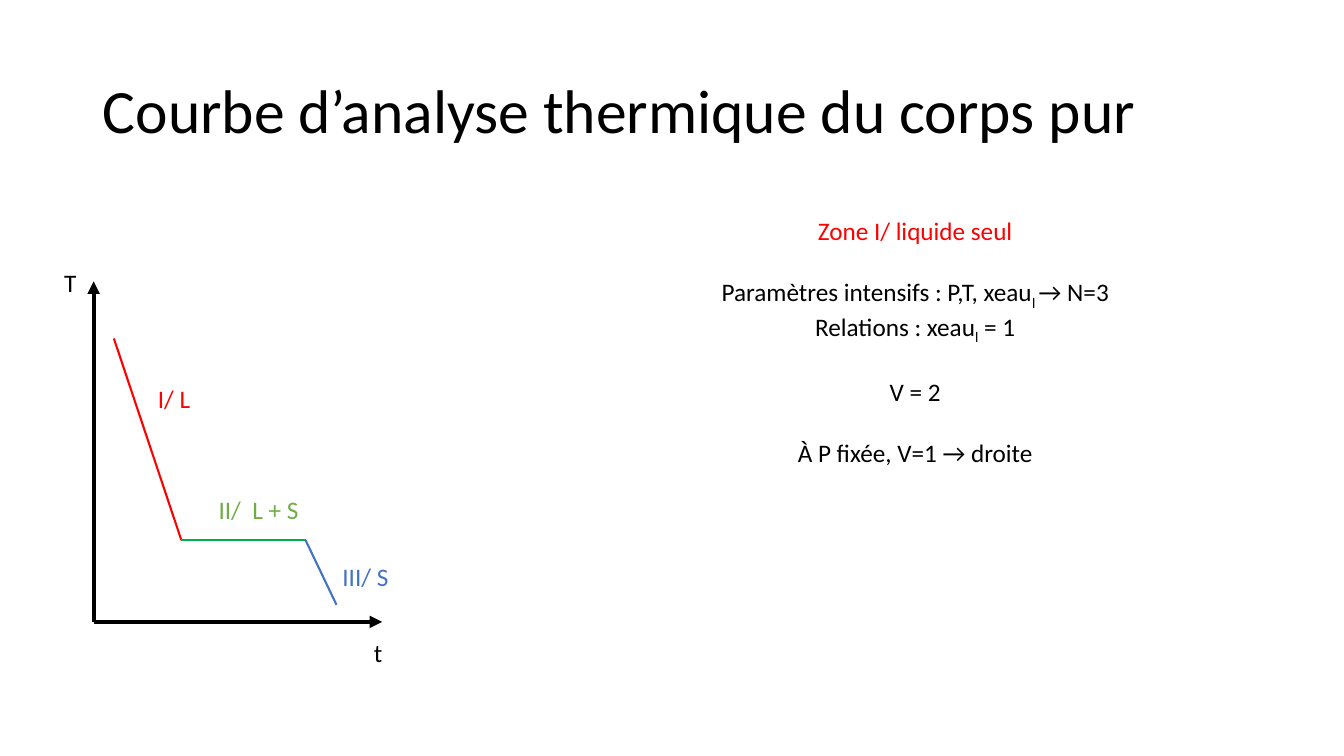
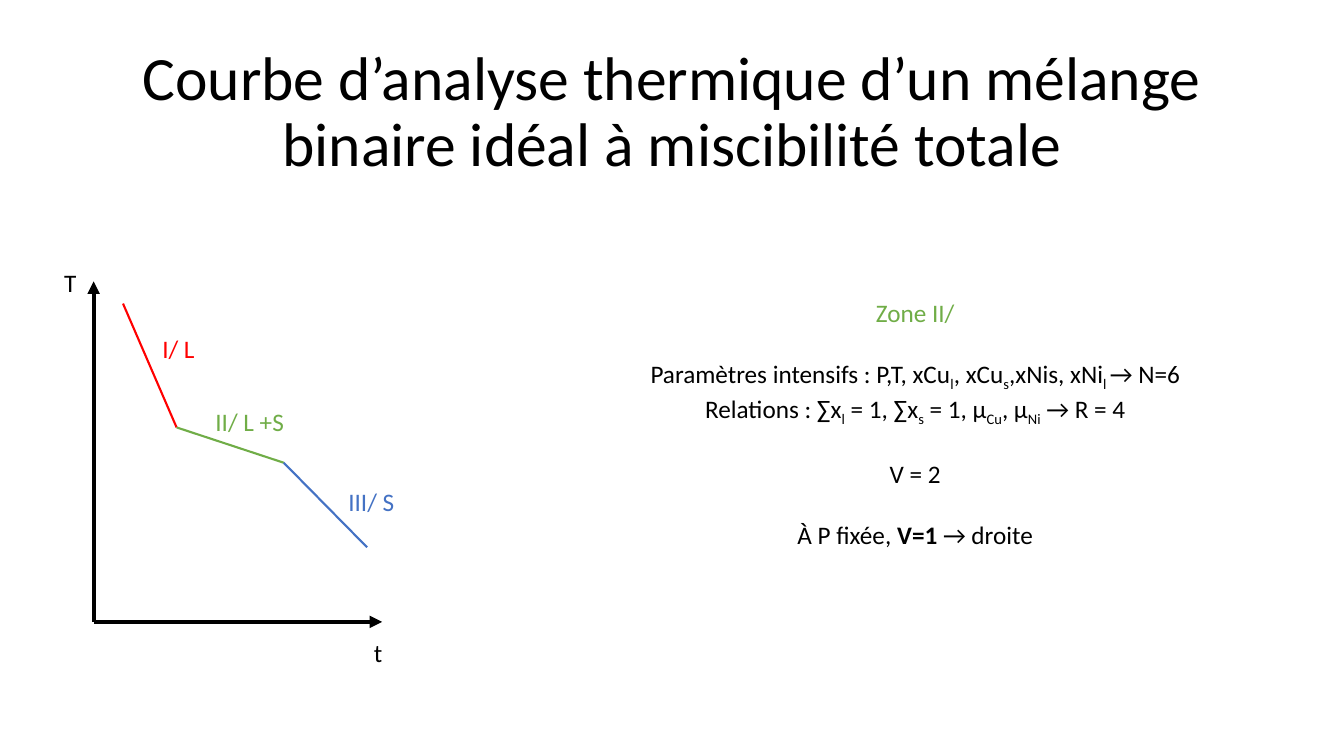
"""Build two slides on thermal analysis curves: pure substance and ideal binary mixture."""
import dataclasses

import lxml.etree
import pptx
import pptx.dml.color
import pptx.enum.shapes
import pptx.enum.text
import pptx.oxml.ns
import pptx.slide
import pptx.util

Cm, Pt = pptx.util.Cm, pptx.util.Pt
RGBColor = pptx.dml.color.RGBColor
ALIGN = pptx.enum.text.PP_ALIGN
ANCHOR = pptx.enum.text.MSO_ANCHOR

BLACK = RGBColor(0x00, 0x00, 0x00)
RED = RGBColor(0xFF, 0x00, 0x00)
GREEN = RGBColor(0x70, 0xAD, 0x47)
DEEP_GREEN = RGBColor(0x00, 0xB0, 0x50)
BLUE = RGBColor(0x44, 0x72, 0xC4)

FONT = "Calibri"
GAP = 22
ORIGIN = (2.36, 15.67)
T_AXIS_END = (2.36, 7.09)
TIME_AXIS_END = (9.63, 15.67)

Point = tuple[float, float]


@dataclasses.dataclass(frozen=True)
class Phase:
    label: str
    label_at: Point
    color: RGBColor
    line_color: RGBColor


@dataclasses.dataclass(frozen=True)
class Line:
    text: str
    color: RGBColor = BLACK
    before: float = 0


@dataclasses.dataclass(frozen=True)
class Curve:
    title: str
    title_align: ALIGN
    points: list[Point]
    phases: list[Phase]
    variance_top: float
    variance: list[Line]


CURVES = [
    Curve(
        "Courbe d’analyse thermique du corps pur",
        ALIGN.LEFT,
        [(2.87, 8.53), (4.57, 13.61), (7.7, 13.61), (8.48, 15.24)],
        [
            Phase("I/ L", (3.73, 9.53), RED, RED),
            Phase("II/  L + S", (5.26, 12.32), GREEN, DEEP_GREEN),
            Phase("III/ S", (8.38, 14.02), BLUE, BLUE),
        ],
        5.31,
        [
            Line("Zone I/ liquide seul", RED),
            Line("Paramètres intensifs : P,T, xeau_l _→ N=3", before=GAP),
            Line("Relations : xeau_l_ = 1"),
            Line("V = 2", before=GAP),
            Line("À P fixée, V=1 → droite", before=GAP),
        ],
    ),
    Curve(
        "Courbe d’analyse thermique d’un mélange binaire idéal à miscibilité totale",
        ALIGN.CENTER,
        [(3.1, 7.65), (4.45, 10.77), (7.15, 11.66), (9.25, 13.79)],
        [
            Phase("I/ L", (3.84, 8.28), RED, RED),
            Phase("II/ L +S", (5.18, 10.11), GREEN, GREEN),
            Phase("III/ S", (8.53, 12.12), BLUE, BLUE),
        ],
        7.37,
        [
            Line("Zone II/", GREEN),
            Line("Paramètres intensifs : P,T, xCu_l_, xCu_s_,xNis, xNi_l _→ N=6", before=GAP),
            Line("Relations : ∑x_l_ = 1, ∑x_s_ = 1, µ_Cu_, µ_Ni_ → R = 4"),
            Line("V = 2", before=GAP),
            Line("À P fixée, *V=1 *→ droite", before=GAP),
        ],
    ),
]


def add_runs(p, text: str, size: float, color: RGBColor) -> None:
    """Write text, with *bold* and _subscript_ marks turned into runs."""
    for i, chunk in enumerate(text.split("*")):
        for j, part in enumerate(chunk.split("_")):
            if not part:
                continue
            r = p.add_run()
            r.text = part
            r.font.name, r.font.size, r.font.bold = FONT, Pt(size), i % 2 == 1
            r.font.color.rgb = color
            if j % 2:
                r._r.get_or_add_rPr().set("baseline", "-25000")


def add_text(s: pptx.slide.Slide, lines: list[Line], at: Point, *, width: float,
             height: float = 1.02, size: float = 18, align: ALIGN = ALIGN.LEFT,
             anchor: ANCHOR = ANCHOR.TOP, line_spacing: float = 1.0) -> None:
    """Place a wrapped text box holding one paragraph per line."""
    sp = s.shapes.add_textbox(Cm(at[0]), Cm(at[1]), Cm(width), Cm(height))
    tf = sp.text_frame
    tf.word_wrap = True
    tf.vertical_anchor = anchor
    for i, line in enumerate(lines):
        p = tf.add_paragraph() if i else tf.paragraphs[0]
        p.alignment, p.line_spacing = align, line_spacing
        p.space_before = Pt(line.before)
        add_runs(p, line.text, size, line.color)


def add_line(s: pptx.slide.Slide, start: Point, end: Point, color: RGBColor,
             width: float = 1.5, arrow: bool = False) -> None:
    """Draw a straight line, with an arrowhead at its end on request."""
    cx = s.shapes.add_connector(pptx.enum.shapes.MSO_CONNECTOR.STRAIGHT,
                                *(Cm(v) for v in start + end))
    cx.line.color.rgb, cx.line.width = color, Pt(width)
    qn = pptx.oxml.ns.qn
    sp_pr = cx._element.spPr
    if arrow:
        lxml.etree.SubElement(sp_pr.find(qn("a:ln")), qn("a:tailEnd"), type="triangle")
    lxml.etree.SubElement(sp_pr, qn("a:effectLst"))


def add_axes(s: pptx.slide.Slide) -> None:
    """Draw the temperature and time axes with their names."""
    for end, name, at in ((T_AXIS_END, "T", (1.37, 6.6)), (TIME_AXIS_END, "t", (9.17, 15.93))):
        add_line(s, ORIGIN, end, BLACK, width=3, arrow=True)
        add_text(s, [Line(name)], at, width=1.5)


def add_curve_slide(prs, curve: Curve) -> None:
    """Add one slide with its title, cooling curve and variance text."""
    s = prs.slides.add_slide(prs.slide_layouts[6])
    add_text(s, [Line(curve.title)], (2.34, 1.02), width=29.21, height=3.68, size=44,
             align=curve.title_align, anchor=ANCHOR.MIDDLE, line_spacing=0.9)
    add_axes(s)
    for phase, start, end in zip(curve.phases, curve.points, curve.points[1:]):
        add_line(s, start, end, phase.line_color)
        add_text(s, [Line(phase.label, phase.color)], phase.label_at, width=2.8)
    add_text(s, curve.variance, (13.64, curve.variance_top), width=18.85, height=6.4,
             align=ALIGN.CENTER)


def main() -> None:
    """Build and save the presentation."""
    prs = pptx.Presentation()
    prs.slide_width, prs.slide_height = Cm(33.87), Cm(19.05)
    for curve in CURVES:
        add_curve_slide(prs, curve)
    prs.save("out.pptx")


if __name__ == "__main__":
    main()
